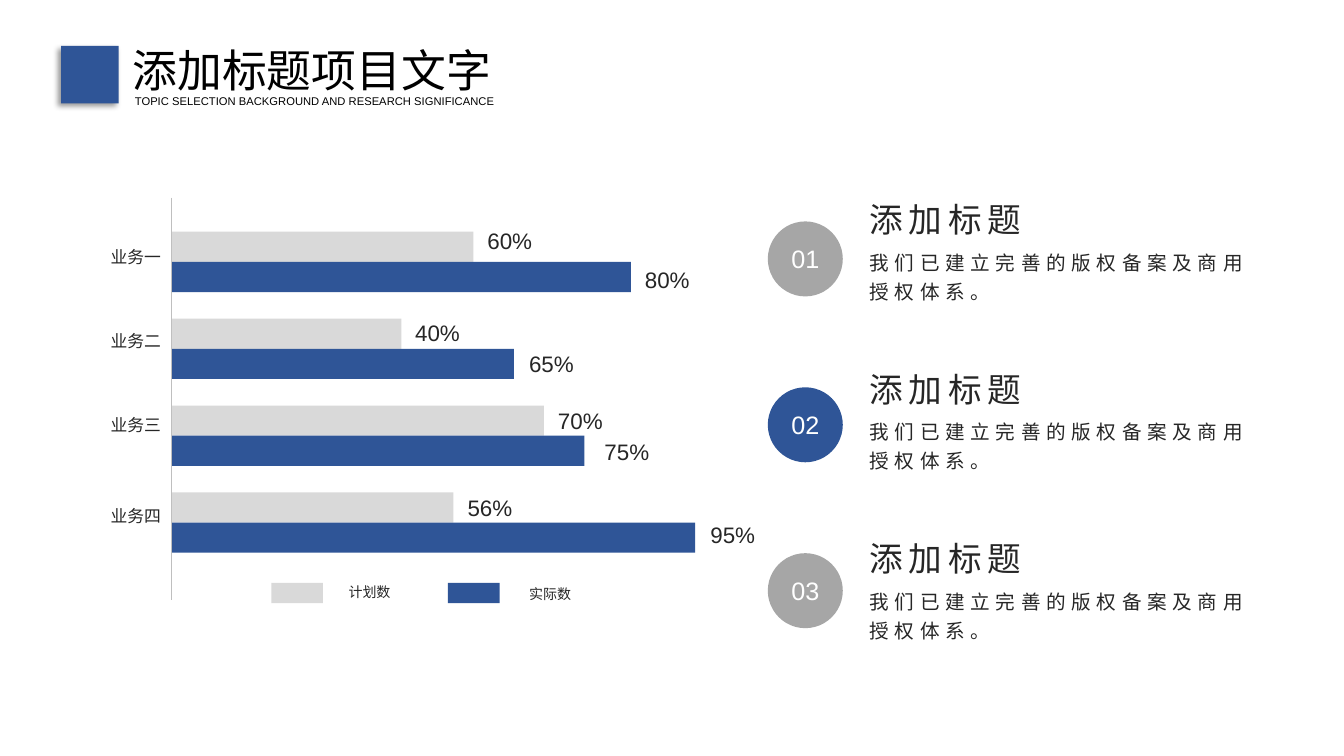
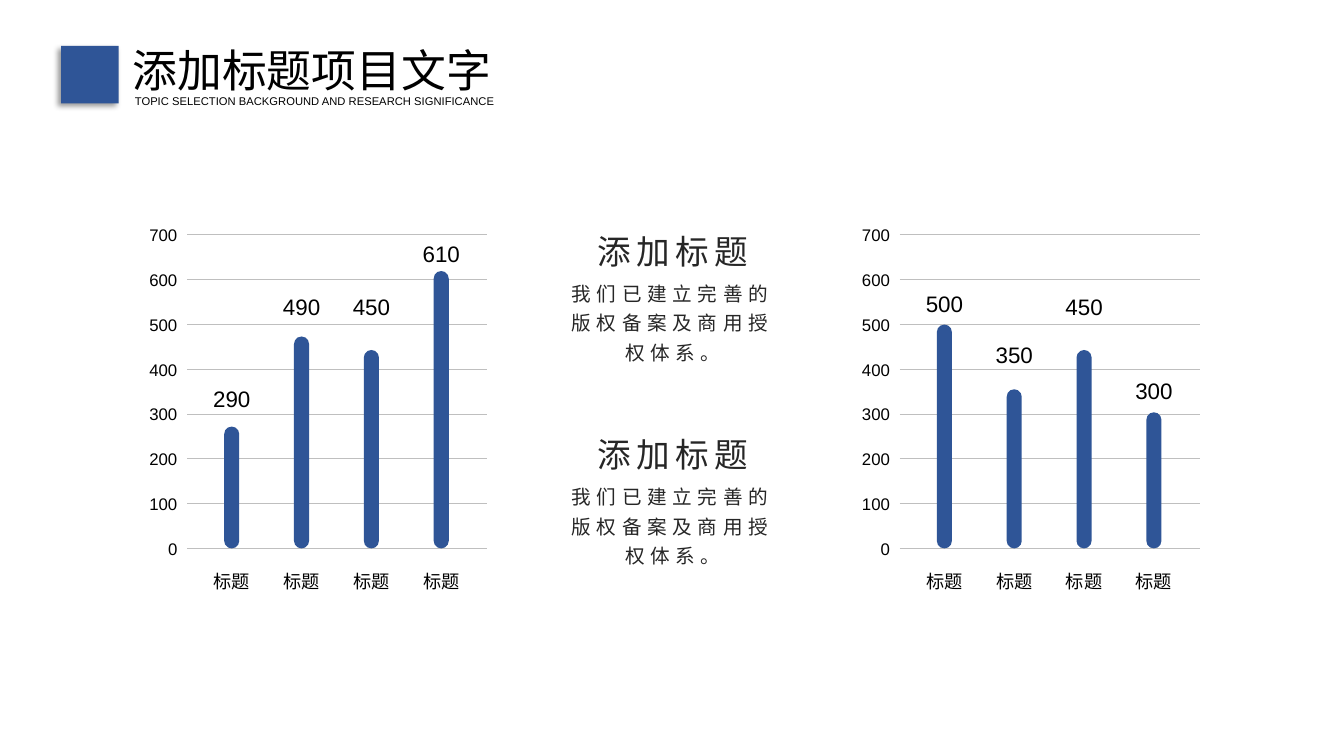
from dataclasses import dataclass

from lxml import etree
from pptx import Presentation
from pptx.dml.color import RGBColor
from pptx.enum import shapes, text
from pptx.oxml import ns
from pptx.util import Cm, Pt


@dataclass(frozen=True)
class Theme:
    font: str = "Arial"
    blue: str = "2F5597"
    pale: str = "D9D9D9"
    gray: str = "A6A6A6"
    rule: str = "BFBFBF"
    ink: str = "262626"
    black: str = "000000"
    white: str = "FFFFFF"
    title: int = 32
    head: int = 24
    disc: int = 18
    value: int = 16
    body: int = 14
    group: int = 13
    tick: int = 12
    key: int = 10
    small: int = 8


T = Theme()
KIND = shapes.MSO_SHAPE
LEFT, MID, RIGHT = (text.PP_ALIGN.LEFT, text.PP_ALIGN.CENTER,
                    text.PP_ALIGN.RIGHT)

ROWS = [
    ("业务一", 6.1, (("60%", 7.59, 12.01, 5.61), ("80%", 11.56, 15.98, 6.58))),
    ("业务二", 8.21, (("40%", 5.78, 10.19, 7.92), ("65%", 8.61, 13.06, 8.71))),
    ("业务三", 10.33, (("70%", 9.37, 13.79, 10.13), ("75%", 10.39, 14.96, 10.91))),
    ("业务四", 12.62, (("56%", 7.09, 11.51, 12.32), ("95%", 13.18, 17.63, 13))),
]
KEYS = [("计划数", T.pale, 6.84, 8.52, 14.58),
        ("实际数", T.blue, 11.29, 13.07, 14.63)]
PLOTS = [
    (4.72, [(290, 3.07, 9.57), (490, 5.34, 7.26),
            (450, 5, 7.26), (610, 6.99, 5.92)]),
    (22.68, [(500, 5.64, 7.19), (350, 4.01, 8.46),
             (450, 5, 7.26), (300, 3.43, 9.39)]),
]


def style(par, size, color, align, gap=0):
    par.alignment = align
    for run in par.runs:
        run.font.name = T.font
        run.font.size = Pt(size)
        run.font.color.rgb = RGBColor.from_string(color)
        if gap:
            run.font._element.set("spc", str(gap * 100))


def label(slide, box, words, size, color=T.ink, align=LEFT, wrap=False,
          gap=0, pitch=None):
    frame = slide.shapes.add_textbox(*map(Cm, box)).text_frame
    frame.text = words
    frame.word_wrap = wrap
    par = frame.paragraphs[0]
    style(par, size, color, align, gap)
    if pitch:
        par.line_spacing = Pt(pitch)


def block(slide, kind, box, color):
    shape = slide.shapes.add_shape(kind, *map(Cm, box))
    shape.shadow.inherit = False
    shape.fill.solid()
    shape.fill.fore_color.rgb = RGBColor.from_string(color)
    shape.line.fill.background()
    return shape


def rule(slide, *ends):
    line = slide.shapes.add_connector(shapes.MSO_CONNECTOR.STRAIGHT,
                                      *map(Cm, ends))
    line.line.color.rgb = RGBColor.from_string(T.rule)
    line.line.width = Pt(0.5)
    etree.SubElement(line._element.spPr, ns.qn("a:effectLst"))


def shade(shape):
    glow = shape._element.spPr.find(ns.qn("a:effectLst"))
    cast = etree.SubElement(glow, ns.qn("a:outerShdw"), blurRad=str(Pt(4)),
                            dist=str(Pt(3)), dir="8100000", algn="tr",
                            rotWithShape="0")
    tint = etree.SubElement(cast, ns.qn("a:srgbClr"), val=T.black)
    etree.SubElement(tint, ns.qn("a:alpha"), val="40000")


def start(deck):
    slide = deck.slides.add_slide(deck.slide_layouts[6])
    label(slide, (3.09, 0.94, 10.13, 1.63), "添加标题项目文字",
          T.title, T.black, wrap=True)
    label(slide, (3.15, 2.26, 11.66, 0.61),
          "TOPIC SELECTION BACKGROUND AND RESEARCH SIGNIFICANCE",
          T.small, T.black, wrap=True)
    shade(block(slide, KIND.RECTANGLE, (1.54, 1.16, 1.45, 1.45), T.blue))
    return slide


def note(slide, left, top, wide, high, align=LEFT):
    label(slide, (left, top, wide, 1.27), "添加标题", T.head,
          align=align, wrap=True, gap=4)
    label(slide, (left, top + 1.14, wide, high),
          "我们已建立完善的版权备案及商用授权体系。", T.body,
          align=align, wrap=True, gap=4, pitch=21)


def disc(slide, top, words, color):
    frame = block(slide, KIND.OVAL, (19.35, top, 1.89, 1.89), color).text_frame
    frame.text = words
    frame.word_wrap = False
    frame.vertical_anchor = text.MSO_ANCHOR.MIDDLE
    style(frame.paragraphs[0], T.disc, T.white, MID)


def bars(slide):
    rule(slide, 4.32, 4.98, 4.32, 15.11)
    thick = 0.76
    for row, (name, top, pair) in enumerate(ROWS):
        label(slide, (2.51, top, 1.8, 0.76), name, T.tick, align=RIGHT)
        for part, (words, wide, left, high) in enumerate(pair):
            place = 5.84 + row * 2.19 + part * thick
            block(slide, KIND.RECTANGLE, (4.34, place, wide, thick),
                  (T.pale, T.blue)[part])
            label(slide, (left, high, 1.65, 0.94), words, T.value, align=RIGHT)
    for name, color, left, side, top in KEYS:
        block(slide, KIND.RECTANGLE, (left, 14.69, 1.3, 0.51), color)
        label(slide, (side, top, 1.57, 0.69), name, T.key, align=RIGHT)


def plot(slide, left, data):
    floor, step = 13.82, 1.13
    for mark in range(8):
        high = floor - mark * step
        rule(slide, left, high, left + 7.56, high)
        label(slide, (left - 1.6, high - 0.37, 1.6, 0.74),
              str(mark * 100), T.tick, T.black, RIGHT)
    for spot, (value, tall, top) in enumerate(data):
        mid = left + 1.12 + spot * 1.76
        bar = block(slide, KIND.ROUNDED_RECTANGLE,
                    (mid - 0.19, floor - tall, 0.38, tall), T.blue)
        bar.adjustments[0] = 0.5
        label(slide, (mid - 0.85, top, 1.7, 0.91), str(value),
              T.value, T.black, MID)
        label(slide, (mid - 0.85, 14.25, 1.7, 0.81), "标题",
              T.group, T.black, MID)


def main():
    deck = Presentation()
    deck.slide_width, deck.slide_height = Cm(33.87), Cm(19.05)

    slide = start(deck)
    bars(slide)
    for spot, color in enumerate((T.gray, T.blue, T.gray)):
        disc(slide, 5.58 + spot * 4.18, f"{spot + 1:02}", color)
        note(slide, 21.67, 4.9 + spot * 4.27, 10.34, 1.75)

    slide = start(deck)
    for left, data in PLOTS:
        plot(slide, left, data)
    for spot in range(2):
        note(slide, 14.02, 5.69 + spot * 5.12, 5.87, 2.49, MID)

    deck.save("out.pptx")


if __name__ == "__main__":
    main()
